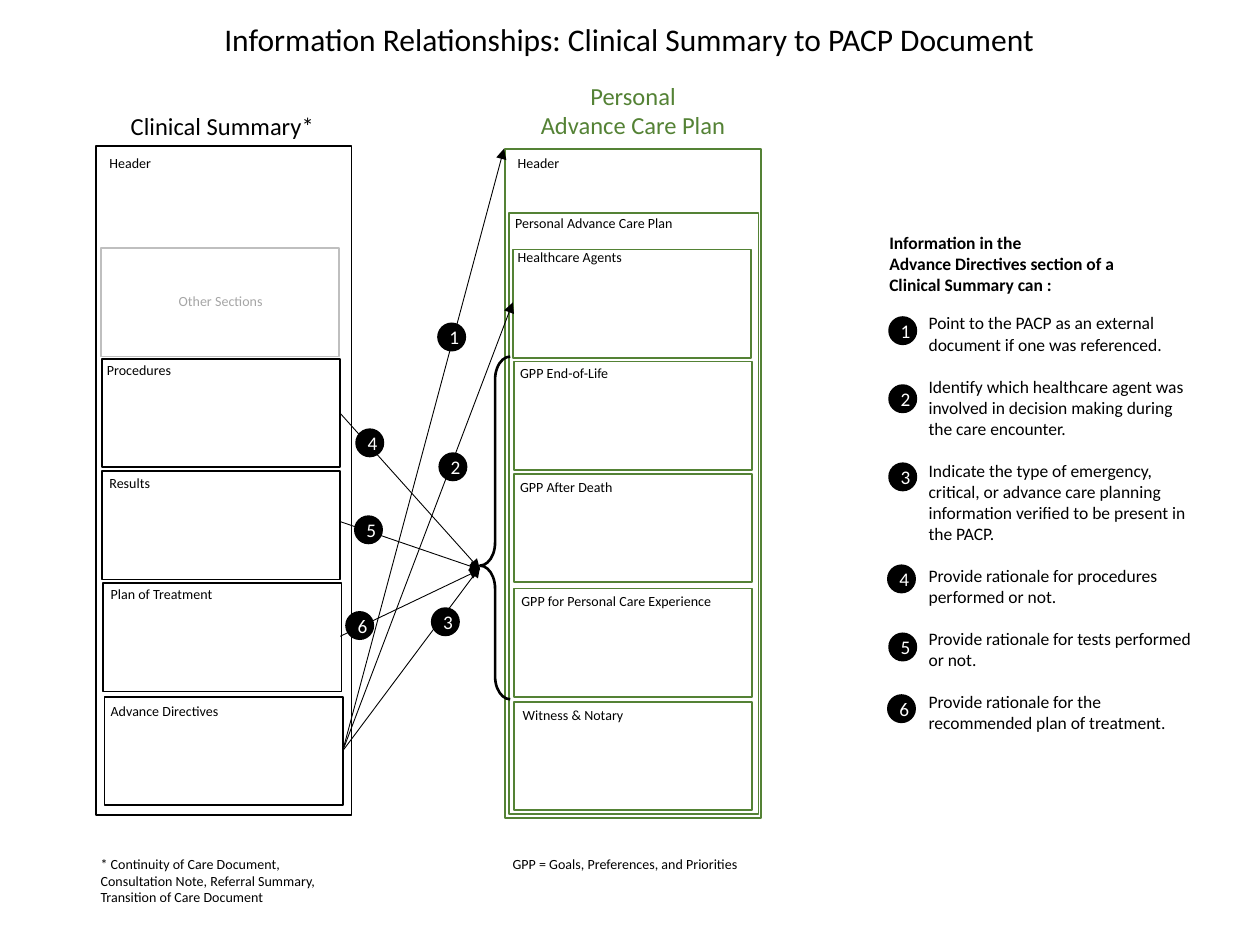
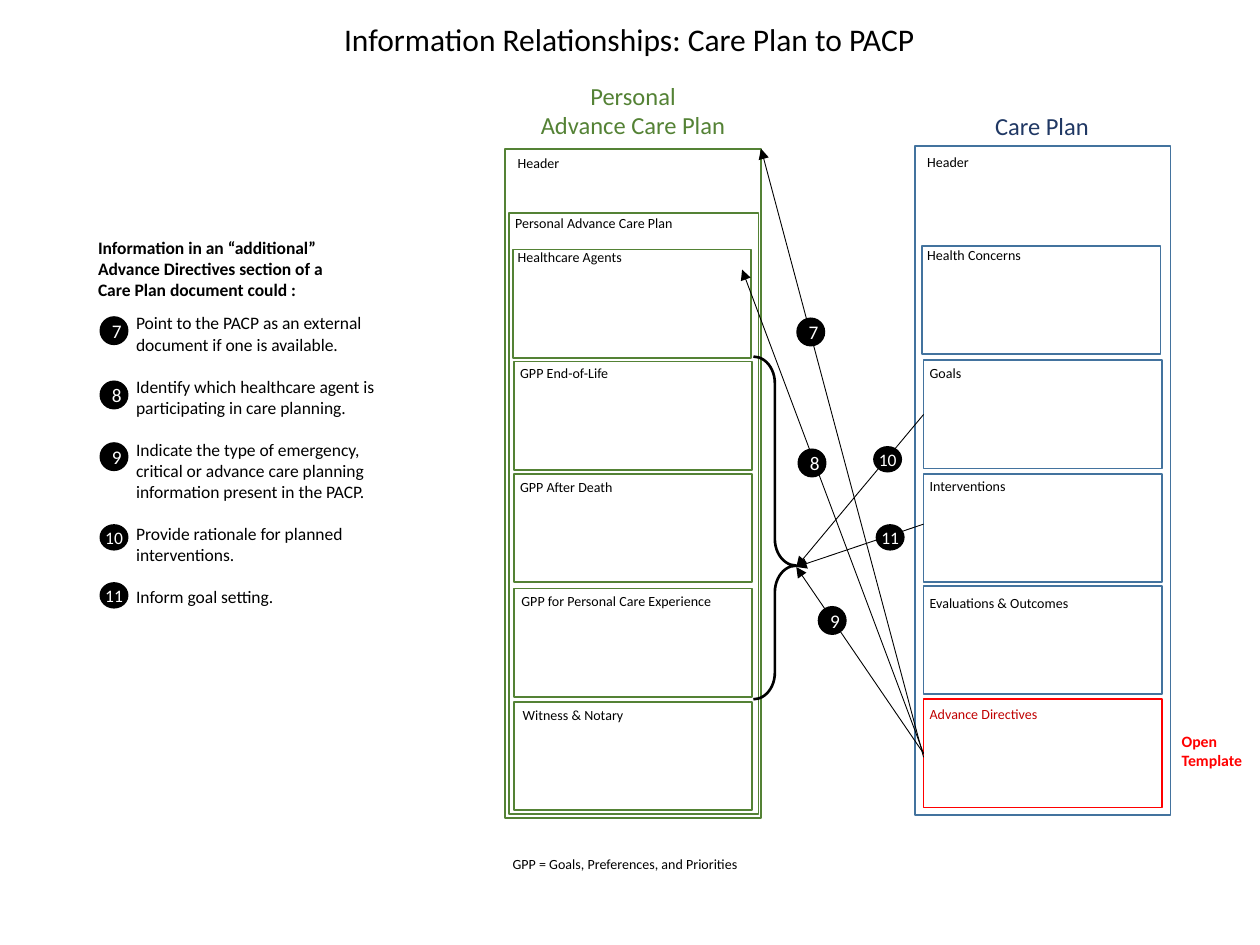
from dataclasses import dataclass
from typing import NamedTuple

from lxml import etree
from pptx import Presentation
from pptx.dml.color import RGBColor
from pptx.enum.shapes import MSO_CONNECTOR, MSO_SHAPE
from pptx.enum.text import MSO_ANCHOR, MSO_AUTO_SIZE, PP_ALIGN
from pptx.oxml.ns import qn
from pptx.util import Inches, Pt

RECTANGLE, ELLIPSE, BRACE = MSO_SHAPE.RECTANGLE, MSO_SHAPE.OVAL, MSO_SHAPE.RIGHT_BRACE
STRAIGHT = MSO_CONNECTOR.STRAIGHT
LEFT, CENTER = PP_ALIGN.LEFT, PP_ALIGN.CENTER
TOP, MIDDLE = MSO_ANCHOR.TOP, MSO_ANCHOR.MIDDLE
FIT_SHAPE = MSO_AUTO_SIZE.SHAPE_TO_FIT_TEXT

FONT = "Calibri"
BLACK, WHITE, RED, DARK_RED = "000000", "FFFFFF", "FF0000", "C00000"
GREEN, BLUE, NAVY = "548235", "43739E", "203864"
GRAY_LINE, GRAY_TEXT = "BFBFBF", "A6A6A6"

# All places are counted in cells of a 1000 x 750 grid over the slide.
SLIDE_WIDTH, SLIDE_HEIGHT = Inches(10), Inches(7.5)
COLUMN, ROW = SLIDE_WIDTH // 1000, SLIDE_HEIGHT // 750
SECTION_WIDTH, SECTION_HEIGHT, LABEL_HEIGHT = 189, 86, 24
PANEL_WIDTH, PANEL_HEIGHT = 203, 531
BADGE_SIZE, WIDE_BADGE_HEIGHT = 23, 21
TITLE_AND_CONTENT = 1


class Spot(NamedTuple):
    """A point on the grid."""
    left: int
    top: int


class Box(NamedTuple):
    """A rectangle on the grid."""
    left: int
    top: int
    width: int
    height: int


@dataclass
class Label:
    """A small one-line caption."""
    text: str
    left: int
    top: int
    width: int
    color: str = BLACK


@dataclass
class Section:
    """An outlined section of a document with its caption."""
    left: int
    top: int
    label: Label
    color: str


@dataclass
class Panel:
    """A document: heading, outer frame and its sections."""
    heading: list[str]
    heading_box: Box
    heading_color: str
    frame: Spot
    color: str
    header: Label
    sections: list[Section]


@dataclass
class Link:
    """A numbered arrow between two documents."""
    number: int
    start: Spot
    end: Spot
    badge: Spot


@dataclass
class Point:
    """A numbered statement of the list."""
    number: int
    badge: Spot
    text: str


@dataclass
class Page:
    """Everything that differs from slide to slide."""
    title: str
    panel: Panel
    brace: Box
    bend: float
    flipped: bool
    links: list[Link]
    intro: list[str]
    intro_box: Box
    points: list[Point]
    points_box: Box


def rgb(color: str) -> RGBColor:
    """Turn a hex string into a colour."""
    return RGBColor.from_string(color)


def place(box: Box) -> tuple[int, int, int, int]:
    """Turn grid cells into slide lengths."""
    return box.left * COLUMN, box.top * ROW, box.width * COLUMN, box.height * ROW


def write_text(frame, lines: list[str], *, size: float, color: str = BLACK, bold: bool = False,
               align=LEFT, gap: float = 0, anchor=TOP, wrap: bool = True, auto_size=FIT_SHAPE) -> None:
    """Fill a text frame with one paragraph per line, gap points apart."""
    frame.word_wrap, frame.vertical_anchor, frame.auto_size = wrap, anchor, auto_size
    for index, line in enumerate(lines):
        paragraph = frame.add_paragraph() if index else frame.paragraphs[0]
        paragraph.alignment = align
        paragraph.space_before = Pt(gap if index else 0)
        run = paragraph.add_run()
        run.text = line
        run.font.name, run.font.size, run.font.bold = FONT, Pt(size), bold
        run.font.color.rgb = rgb(color)


def add_text(slide, box: Box, lines: list[str], **text_format) -> None:
    """Add a text box."""
    write_text(slide.shapes.add_textbox(*place(box)).text_frame, lines, **text_format)


def fill_placeholder(shape, box: Box, lines: list[str], **text_format) -> None:
    """Move a placeholder, write its text and take its bullets off."""
    shape.left, shape.top, shape.width, shape.height = place(box)
    write_text(shape.text_frame, lines, **text_format)
    for paragraph in shape.text_frame.paragraphs:
        properties = paragraph._p.get_or_add_pPr()
        properties.set("marL", "0")
        properties.set("indent", "0")
        etree.SubElement(properties, qn("a:buNone"))


def add_outline(slide, kind, box: Box, color: str, width: float = 1):
    """Add an unfilled preset shape."""
    shape = slide.shapes.add_shape(kind, *place(box))
    shape.shadow.inherit = False
    shape.fill.background()
    shape.line.color.rgb = rgb(color)
    shape.line.width = Pt(width)
    return shape


def add_label(slide, label: Label) -> None:
    """Add a small caption."""
    add_text(slide, Box(label.left, label.top, label.width, LABEL_HEIGHT), [label.text],
             size=8, color=label.color, wrap=False)


def add_panel(slide, panel: Panel) -> None:
    """Draw a document with heading, frame and sections."""
    add_text(slide, panel.heading_box, panel.heading, size=14, color=panel.heading_color, align=CENTER)
    add_outline(slide, RECTANGLE, Box(*panel.frame, PANEL_WIDTH, PANEL_HEIGHT), panel.color)
    add_label(slide, panel.header)
    for section in panel.sections:
        box = Box(section.left, section.top, SECTION_WIDTH, SECTION_HEIGHT)
        add_outline(slide, RECTANGLE, box, section.color)
        add_label(slide, section.label)


def add_advance_care_plan(slide) -> None:
    """Draw the document both slides share, with its inner frame and note."""
    add_panel(slide, ADVANCE_CARE_PLAN)
    add_outline(slide, RECTANGLE, Box(404, 169, 198, 477), GREEN)
    add_label(slide, Label("Personal Advance Care Plan", 399, 165, 147))
    add_text(slide, Box(397, 674, 213, 24), ["GPP = Goals, Preferences, and Priorities"], size=8)


def add_brace(slide, page: Page) -> None:
    """Draw the brace that gathers the GPP sections."""
    brace = add_outline(slide, BRACE, page.brace, BLACK, 1.5)
    brace.adjustments[0], brace.adjustments[1] = page.bend, 0.61
    if page.flipped:
        brace.element.spPr.find(qn("a:xfrm")).set("flipH", "1")


def add_arrow(slide, start: Spot, end: Spot) -> None:
    """Draw a thin arrow."""
    arrow = slide.shapes.add_connector(STRAIGHT, start.left * COLUMN, start.top * ROW,
                                       end.left * COLUMN, end.top * ROW)
    arrow.line.color.rgb = rgb(BLACK)
    arrow.line.width = Pt(0.5)
    etree.SubElement(arrow.line._get_or_add_ln(), qn("a:tailEnd"), type="triangle")
    etree.SubElement(arrow.element.spPr, qn("a:effectLst"))


def add_badge(slide, number: int, spot: Spot) -> None:
    """Draw a black disc with a number; two digits need a disc without margins."""
    wide = number > 9
    box = Box(*spot, BADGE_SIZE, WIDE_BADGE_HEIGHT if wide else BADGE_SIZE)
    badge = slide.shapes.add_shape(ELLIPSE, *place(box))
    badge.shadow.inherit = False
    badge.fill.solid()
    badge.fill.fore_color.rgb = rgb(BLACK)
    badge.line.fill.background()
    frame = badge.text_frame
    if wide:
        frame.margin_left = frame.margin_right = frame.margin_top = frame.margin_bottom = 0
    write_text(frame, [str(number)], size=10 if wide else 11, color=WHITE, align=CENTER,
               anchor=MIDDLE, auto_size=MSO_AUTO_SIZE.NONE)


def add_page(presentation, page: Page):
    """Build one slide."""
    slide = presentation.slides.add_slide(presentation.slide_layouts[TITLE_AND_CONTENT])
    fill_placeholder(slide.shapes.title, Box(0, 11, 999, 40), [page.title], size=18, align=CENTER)
    fill_placeholder(slide.placeholders[1], page.points_box, [point.text for point in page.points],
                     size=10, gap=12)
    add_text(slide, page.intro_box, page.intro, size=10, bold=True)
    add_panel(slide, page.panel)
    add_advance_care_plan(slide)
    add_brace(slide, page)
    for link in page.links:
        add_arrow(slide, link.start, link.end)
    for numbered in page.links + page.points:
        add_badge(slide, numbered.number, numbered.badge)
    return slide


ADVANCE_CARE_PLAN = Panel(
    ["Personal", "Advance Care Plan"], Box(401, 59, 203, 57), GREEN, Spot(401, 118), GREEN,
    Label("Header", 401, 118, 54), [
        Section(407, 198, Label("Healthcare Agents", 401, 192, 104), GREEN),
        Section(408, 287, Label("GPP End-of-Life", 403, 284, 92), GREEN),
        Section(408, 376, Label("GPP After Death", 403, 375, 94), GREEN),
        Section(408, 467, Label("GPP for Personal Care Experience", 404, 465, 173), GREEN),
        Section(408, 557, Label("Witness & Notary", 405, 556, 101), GREEN)])
CLINICAL_SUMMARY = Panel(
    ["Clinical Summary*"], Box(76, 83, 201, 34), BLACK, Spot(76, 116), BLACK,
    Label("Header", 77, 118, 54), [
        Section(80, 197, Label("Other Sections", 132, 227, 87, GRAY_TEXT), GRAY_LINE),
        Section(81, 285, Label("Procedures", 75, 282, 72), BLACK),
        Section(81, 374, Label("Results", 77, 372, 53), BLACK),
        Section(82, 463, Label("Plan of Treatment", 78, 460, 103), BLACK),
        Section(83, 553, Label("Advance Directives", 78, 553, 107), BLACK)])
CARE_PLAN = Panel(
    ["Care Plan"], Box(726, 83, 202, 34), NAVY, Spot(726, 116), BLUE,
    Label("Header", 726, 117, 54), [
        Section(732, 195, Label("Health Concerns", 726, 191, 95), BLUE),
        Section(733, 286, Label("Goals", 728, 284, 46), BLUE),
        Section(733, 376, Label("Interventions", 728, 374, 81), BLUE),
        Section(733, 465, Label("Evaluations & Outcomes", 728, 467, 132), BLUE),
        Section(733, 555, Label("Advance Directives", 728, 555, 107, DARK_RED), RED)])

SUMMARY_DIRECTIVES, SUMMARY_TIP = Spot(272, 596), Spot(381, 452)
SUMMARY_PAGE = Page(
    "Information Relationships: Clinical Summary to PACP Document", CLINICAL_SUMMARY,
    Box(381, 283, 24, 272), 0.76, True,
    [Link(1, SUMMARY_DIRECTIVES, Spot(400, 118), Spot(347, 256)),
     Link(2, SUMMARY_DIRECTIVES, Spot(407, 240), Spot(348, 359)),
     Link(3, SUMMARY_DIRECTIVES, Spot(381, 450), Spot(342, 482)),
     Link(4, Spot(270, 328), SUMMARY_TIP, Spot(282, 340)),
     Link(5, Spot(270, 414), SUMMARY_TIP, Spot(281, 409)),
     Link(6, Spot(270, 505), SUMMARY_TIP, Spot(274, 485))],
    ["Information in the", "Advance Directives section of a", "Clinical Summary can :"],
    Box(696, 179, 257, 61),
    [Point(1, Spot(705, 251), "Point to the PACP as an external document if one was referenced."),
     Point(2, Spot(705, 305), "Identify which healthcare agent was involved in decision making "
           "during the care encounter."),
     Point(3, Spot(705, 367), "Indicate the type of emergency, critical, or advance care planning "
           "information verified to be present in the PACP."),
     Point(4, Spot(704, 448), "Provide rationale for procedures performed or not."),
     Point(5, Spot(705, 502), "Provide rationale for tests performed or not."),
     Point(6, Spot(704, 551), "Provide rationale for the recommended plan of treatment.")],
    Box(727, 243, 234, 347))

PLAN_DIRECTIVES, PLAN_TIP = Spot(733, 598), Spot(632, 450)
PLAN_PAGE = Page(
    "Information Relationships: Care Plan to PACP", CARE_PLAN,
    Box(598, 283, 34, 272), 0.62, False,
    [Link(7, Spot(733, 601), Spot(604, 118), Spot(632, 252)),
     Link(8, PLAN_DIRECTIVES, Spot(589, 214), Spot(633, 356)),
     Link(9, PLAN_DIRECTIVES, PLAN_TIP, Spot(649, 481)),
     Link(10, Spot(733, 329), PLAN_TIP, Spot(693, 354)),
     Link(11, Spot(733, 416), PLAN_TIP, Spot(695, 416))],
    ["Information in an “additional”", "Advance Directives section of a",
     "Care Plan document could :"],
    Box(68, 183, 284, 61),
    [Point(7, Spot(79, 251), "Point to the PACP as an external document if one is available."),
     Point(8, Spot(79, 302), "Identify which healthcare agent is participating in care planning."),
     Point(9, Spot(79, 351), "Indicate the type of emergency, critical or advance care planning "
           "information present in the PACP."),
     Point(10, Spot(79, 416), "Provide rationale for planned interventions."),
     Point(11, Spot(79, 462), "Inform goal setting.")],
    Box(98, 243, 223, 263))

presentation = Presentation()
presentation.slide_width, presentation.slide_height = SLIDE_WIDTH, SLIDE_HEIGHT
summary_slide = add_page(presentation, SUMMARY_PAGE)
add_text(summary_slide, Box(70, 674, 213, 50),
         ["* Continuity of Care Document, Consultation Note, Referral Summary, "
          "Transition of Care Document"], size=8)
plan_slide = add_page(presentation, PLAN_PAGE)
add_text(plan_slide, Box(928, 576, 70, 40), ["Open", "Template"], size=9, color=RED, bold=True,
         wrap=False)
presentation.save("out.pptx")
